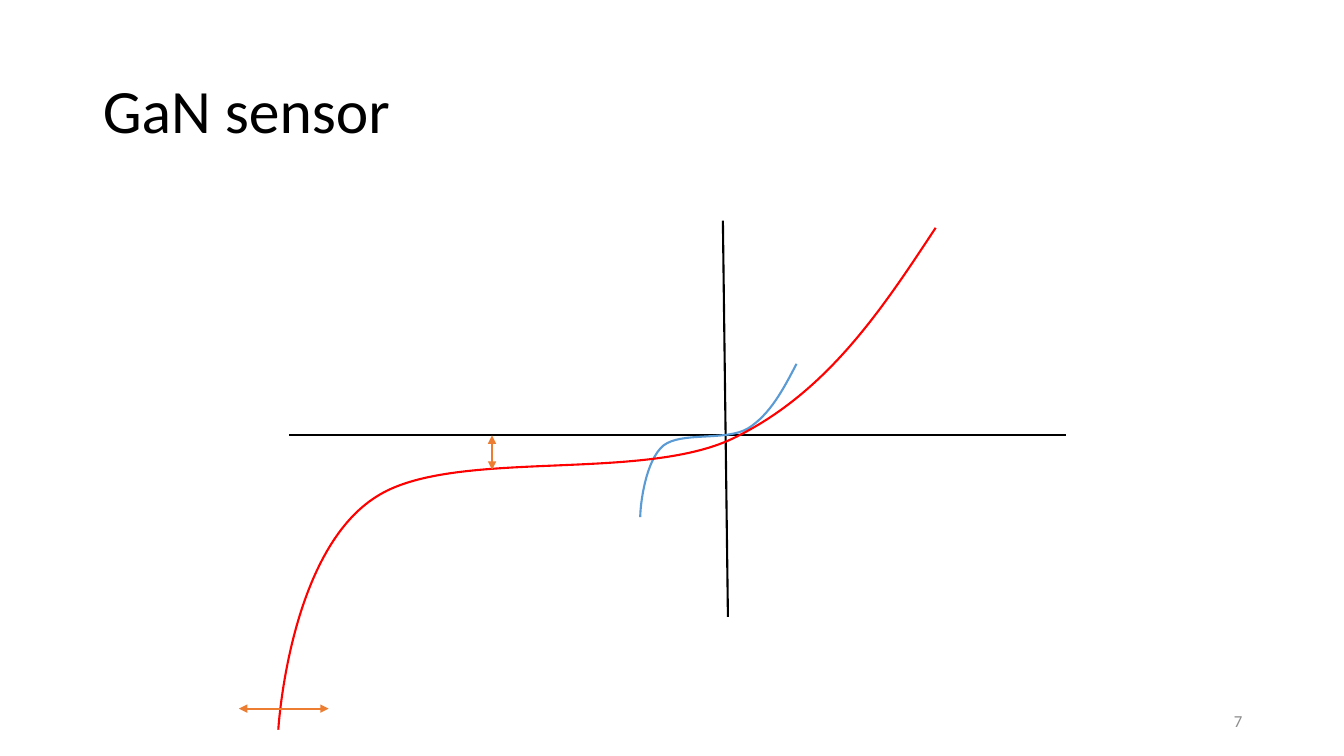
from pptx import Presentation
from pptx.dml.color import RGBColor
from pptx.enum.shapes import MSO_CONNECTOR as Link
from pptx.enum.text import MSO_ANCHOR as Anchor, MSO_AUTO_SIZE as Fit, PP_ALIGN as Align
from pptx.oxml.ns import qn
from pptx.util import Inches, Pt
from lxml.etree import SubElement

BLACK, GREY = "000000", "8C8C8C"
BLUE, RED, ORANGE = "5B9BD5", "FF0000", "ED7D31"


def color(code):
    return RGBColor.from_string(code)


def write(box, text, size=12, tint=BLACK, font="Calibri", align=Align.LEFT, space=1.0):
    frame = box.text_frame
    frame.word_wrap = True
    frame.auto_size = Fit.NONE
    frame.vertical_anchor = Anchor.MIDDLE
    frame.text = text
    para = frame.paragraphs[0]
    para.alignment = align
    para.line_spacing = space
    style = para.runs[0].font
    style.size, style.name = Pt(size), font
    style.color.rgb = color(tint)


class Board:
    def __init__(self, deck, width=1.5):
        self.width = Pt(width)
        self.slide = deck.slides.add_slide(deck.slide_layouts[5])
        self.shapes = self.slide.shapes

    def title(self, text, area):
        box = self.shapes.title
        box.left, box.top, box.width, box.height = map(Inches, area)
        write(box, text, size=44, space=0.9)

    def label(self, text, area, **style):
        write(self.shapes.add_textbox(*map(Inches, area)), text, **style)

    def stroke(self, shape, tint):
        shape.line.color.rgb = color(tint)
        shape.line.width = self.width

    def line(self, start, end, tint=BLACK, arrows=False):
        link = self.shapes.add_connector(Link.STRAIGHT, *map(Inches, start + end))
        self.stroke(link, tint)
        if arrows:
            for tag in ("a:headEnd", "a:tailEnd"):
                SubElement(link.line._get_or_add_ln(), qn(tag), type="triangle")
        SubElement(link._element.spPr, qn("a:effectLst"))

    def curve(self, knots, tint):
        start, *rest = [tuple(map(Inches, knot)) for knot in knots]
        pen = self.shapes.build_freeform(*start, scale=1.0)
        pen.add_line_segments(rest, close=False)
        shape = pen.convert_to_shape()
        outline = next(shape._element.iter(qn("a:path")))
        legs = outline.findall(qn("a:lnTo"))
        for i in range(0, len(legs), 3):
            bend = SubElement(outline, qn("a:cubicBezTo"))
            for leg in legs[i:i + 3]:
                bend.append(leg[0])
                outline.remove(leg)
        shape.shadow.inherit = False
        shape.fill.background()
        self.stroke(shape, tint)


def main():
    deck = Presentation()
    deck.slide_width, deck.slide_height = Inches(13.33), Inches(7.5)
    board = Board(deck)
    board.title("GaN sensor", (0.92, 0.4, 11.5, 1.45))
    board.label("7", (9.42, 6.95, 3, 0.4), tint=GREY, align=Align.RIGHT)
    board.line((2.87, 4.32), (10.57, 4.32))
    board.line((7.17, 2.19), (7.22, 6.12))
    board.curve([(7.9, 3.61), (7.77, 3.86), (7.64, 4.11), (7.42, 4.25),
                 (7.2, 4.38), (6.76, 4.28), (6.58, 4.42),
                 (6.4, 4.57), (6.35, 5.01), (6.35, 5.13)], BLUE)
    board.curve([(9.28, 2.26), (8.74, 3.08), (8.2, 3.9), (7.27, 4.35),
                 (6.35, 4.79), (4.48, 4.44), (3.73, 4.93),
                 (2.97, 5.41), (2.79, 6.83), (2.76, 7.24)], RED)
    board.line((2.37, 7.03), (3.26, 7.03), ORANGE, arrows=True)
    board.line((4.88, 4.32), (4.88, 4.66), ORANGE, arrows=True)
    deck.save("out.pptx")


if __name__ == "__main__":
    main()
